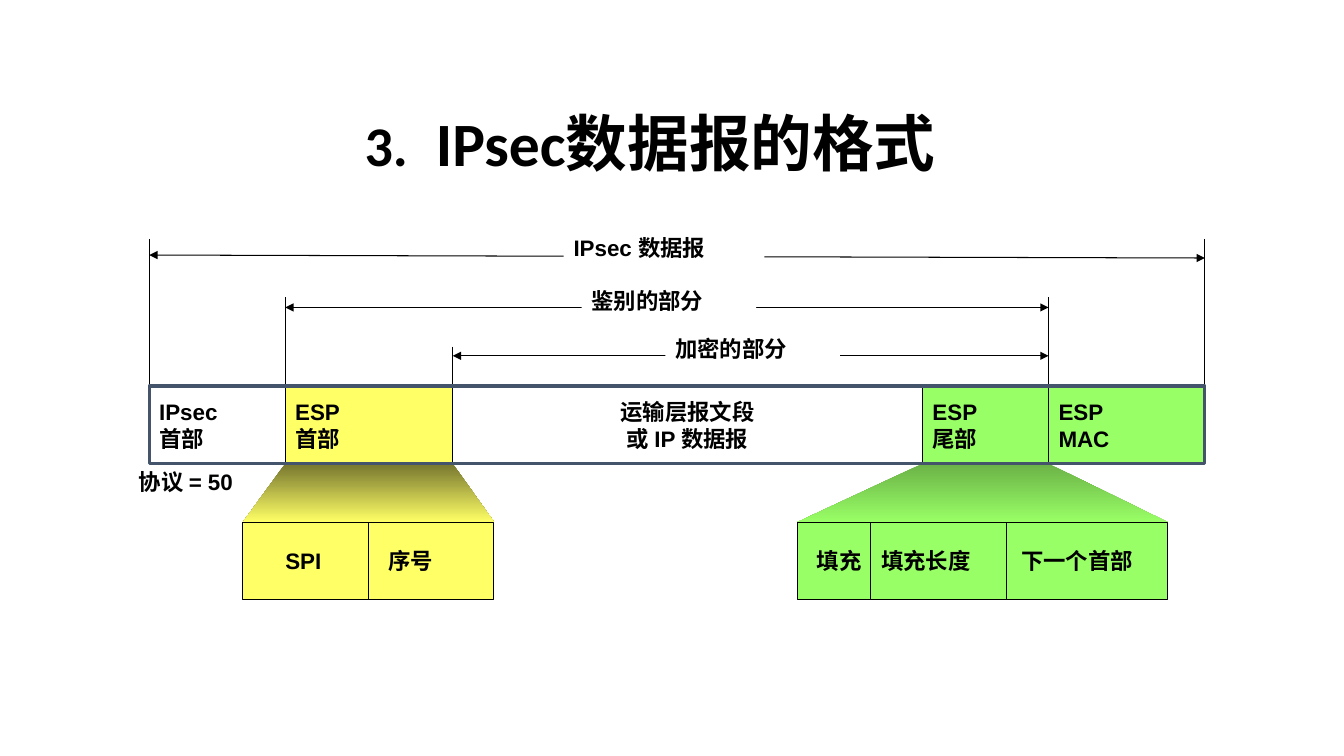
from lxml import etree
from pptx import Presentation
from pptx.dml.color import RGBColor
from pptx.enum.shapes import MSO_CONNECTOR, MSO_SHAPE
from pptx.enum.text import MSO_ANCHOR, PP_ALIGN
from pptx.oxml.ns import qn
from pptx.util import Inches, Pt

BLACK, WHITE, FRAME = "000000", "FFFFFF", "44546A"
YELLOW, GREEN = "FFFF66", "99FF66"
DARK_YELLOW, DARK_GREEN = "76762F", "6BB247"

ROW_TOP, DETAIL_TOP, CELL_HEIGHT = 3.83, 5.18, 0.77
ROW_BOTTOM = ROW_TOP + CELL_HEIGHT
ROW_EDGES = [1.48, 2.83, 4.49, 9.15, 10.4, 11.95]
IPSEC_START, ESP_START, PAYLOAD_START, TRAILER_START, MAC_START, ROW_END = ROW_EDGES

FIELDS = [
    (["IPsec", "首部"], WHITE, PP_ALIGN.LEFT),
    (["ESP", "首部"], YELLOW, PP_ALIGN.LEFT),
    (["运输层报文段", "或 IP 数据报"], WHITE, PP_ALIGN.CENTER),
    (["ESP", "尾部"], GREEN, PP_ALIGN.LEFT),
    (["ESP", "MAC"], GREEN, PP_ALIGN.LEFT),
]
DETAILS = [
    (ESP_START, PAYLOAD_START, YELLOW, DARK_YELLOW, [2.41, 3.66, 4.9],
     [("SPI", 0.42), ("序号", 0.19)]),
    (TRAILER_START, MAC_START, GREEN, DARK_GREEN, [7.91, 8.63, 9.98, 11.58],
     [("填充", 0.19), ("填充长度", 0.11), ("下一个首部", 0.15)]),
]
SPANS = [
    ("IPsec 数据报", IPSEC_START, ROW_END, 2.53, 2.56, 5.59, 1.99),
    ("鉴别的部分", ESP_START, MAC_START, 3.05, 3.05, 5.77, 1.73),
    ("加密的部分", PAYLOAD_START, MAC_START, 3.53, 3.53, 6.6, 1.73),
]
BOUNDARIES = [
    (IPSEC_START, 2.37), (ROW_END, 2.37),
    (ESP_START, 2.95), (MAC_START, 2.95), (PAYLOAD_START, 3.44),
]


def color(value):
    return RGBColor.from_string(value)


def style_run(run, size, font):
    run.font.size = Pt(size)
    run.font.name = font
    run.font.bold = True
    run.font.color.rgb = color(BLACK)


def write(shape, lines, align=PP_ALIGN.LEFT, anchor=MSO_ANCHOR.MIDDLE,
          inset=0.1, spacing=1.0):
    frame = shape.text_frame
    frame.word_wrap = True
    frame.vertical_anchor = anchor
    frame.margin_left = Inches(inset)
    frame.margin_right = 0 if align == PP_ALIGN.LEFT else Inches(inset)
    for index, line in enumerate(lines):
        paragraph = frame.paragraphs[0] if index == 0 else frame.add_paragraph()
        paragraph.alignment = align
        paragraph.line_spacing = spacing
        run = paragraph.add_run()
        run.text = line
        style_run(run, 16, "Arial")


def add_box(slide, left, top, width, height, fill=None, line=None, weight=0.75):
    box = slide.shapes.add_shape(MSO_SHAPE.RECTANGLE, Inches(left), Inches(top),
                                 Inches(width), Inches(height))
    box.shadow.inherit = False
    if fill:
        box.fill.solid()
        box.fill.fore_color.rgb = color(fill)
    else:
        box.fill.background()
    if line:
        box.line.color.rgb = color(line)
        box.line.width = Pt(weight)
    else:
        box.line.fill.background()
    return box


def add_line(slide, x1, y1, x2, y2, arrows=False):
    line = slide.shapes.add_connector(MSO_CONNECTOR.STRAIGHT, Inches(x1), Inches(y1),
                                      Inches(x2), Inches(y2))
    line.line.color.rgb = color(BLACK)
    line.line.width = Pt(0.75)
    properties = line._element.spPr
    if arrows:
        for end in ("a:headEnd", "a:tailEnd"):
            etree.SubElement(properties.find(qn("a:ln")), qn(end), type="triangle")
    etree.SubElement(properties, qn("a:effectLst"))


def add_funnel(slide, top_left, top_right, bottom_left, bottom_right, dark, light):
    builder = slide.shapes.build_freeform(Inches(top_left), Inches(ROW_BOTTOM))
    builder.add_line_segments([
        (Inches(bottom_left), Inches(DETAIL_TOP)),
        (Inches(bottom_right), Inches(DETAIL_TOP)),
        (Inches(top_right), Inches(ROW_BOTTOM)),
    ])
    funnel = builder.convert_to_shape()
    funnel.shadow.inherit = False
    funnel.line.fill.background()
    funnel.fill.gradient()
    funnel.fill.gradient_angle = 270
    for stop, position, shade in zip(funnel.fill.gradient_stops, (0, 1), (dark, light)):
        stop.position = position
        stop.color.rgb = color(shade)


def add_title(slide):
    title = slide.shapes.add_textbox(Inches(2.65), Inches(1.07), Inches(7.6), Inches(0.76))
    frame = title.text_frame
    frame.word_wrap = True
    frame.vertical_anchor = MSO_ANCHOR.BOTTOM
    paragraph = frame.paragraphs[0]
    paragraph.alignment = PP_ALIGN.CENTER
    paragraph.line_spacing = 0.9
    for text, size in (("3.\u2002", 40), ("IPsec数据报的格式", 44)):
        run = paragraph.add_run()
        run.text = text
        style_run(run, size, "Calibri")


def add_detail(slide, start, end, light, dark, edges, labels):
    add_funnel(slide, start, end, edges[0], edges[-1], dark, light)
    for left, right, (label, inset) in zip(edges, edges[1:], labels):
        cell = add_box(slide, left, DETAIL_TOP, right - left, CELL_HEIGHT, light, BLACK)
        write(cell, [label], inset=inset)


def add_span(slide, label, start, end, start_y, end_y, label_left, label_width):
    add_line(slide, start, start_y, end, end_y, arrows=True)
    box = add_box(slide, label_left, start_y - 0.28, label_width, 0.39, WHITE)
    write(box, [label], anchor=MSO_ANCHOR.TOP, spacing=1.1)


def main():
    deck = Presentation()
    deck.slide_width, deck.slide_height = Inches(13.33), Inches(7.5)
    slide = deck.slides.add_slide(deck.slide_layouts[6])
    add_title(slide)
    for detail in DETAILS:
        add_detail(slide, *detail)
    for left, right, (lines, fill, align) in zip(ROW_EDGES, ROW_EDGES[1:], FIELDS):
        cell = add_box(slide, left, ROW_TOP, right - left, CELL_HEIGHT, fill, BLACK)
        write(cell, lines, align)
    protocol = slide.shapes.add_textbox(Inches(1.28), Inches(ROW_BOTTOM),
                                        Inches(1.51), Inches(0.37))
    write(protocol, ["协议 = 50"], anchor=MSO_ANCHOR.TOP)
    for span in SPANS:
        add_span(slide, *span)
    for x, top in BOUNDARIES:
        add_line(slide, x, top, x, ROW_TOP)
    add_box(slide, IPSEC_START, ROW_TOP, ROW_END - IPSEC_START, CELL_HEIGHT,
            line=FRAME, weight=2.25)
    deck.save("out.pptx")


main()
